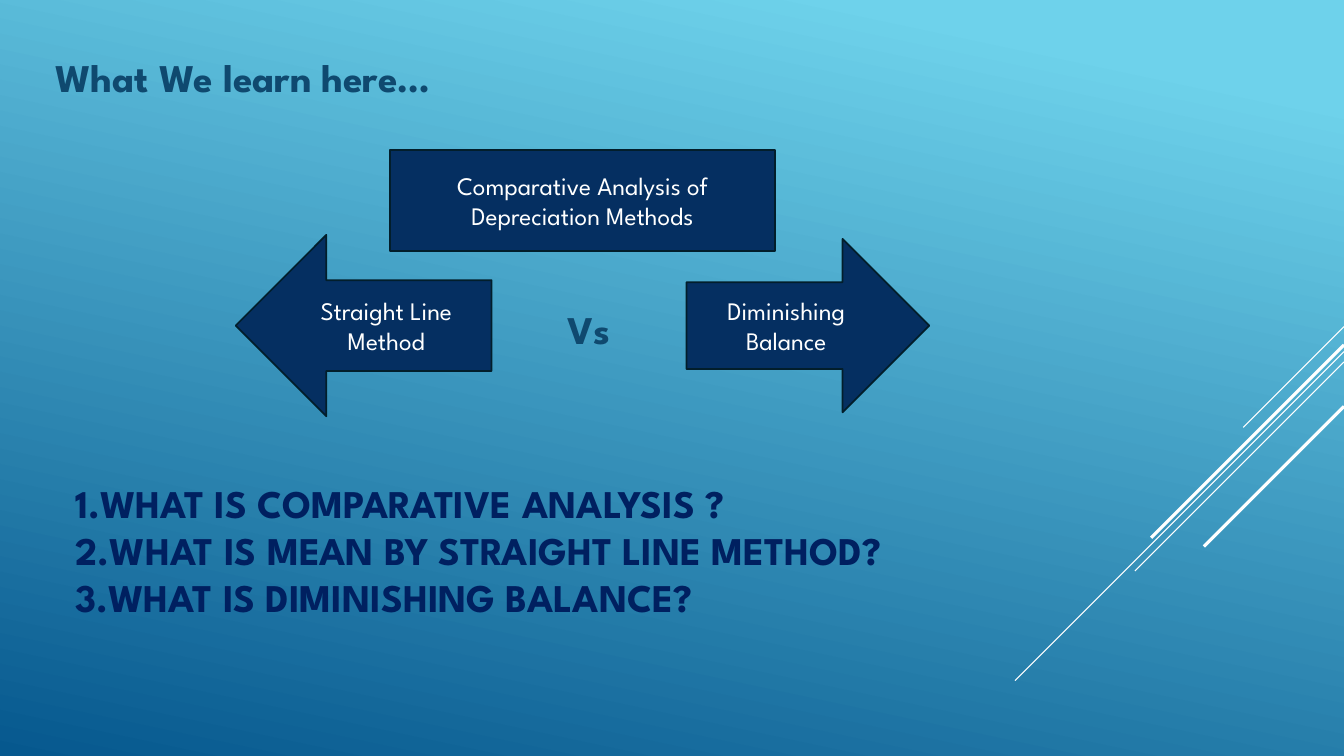
from dataclasses import dataclass

from lxml.etree import SubElement
from pptx import Presentation
from pptx.dml.color import RGBColor
from pptx.enum.shapes import MSO_CONNECTOR, MSO_SHAPE
from pptx.enum.text import MSO_ANCHOR, PP_ALIGN
from pptx.oxml.ns import qn
from pptx.slide import Slide
from pptx.text.text import TextFrame
from pptx.util import Cm, Pt

FONT = "League Spartan"
SLIDE_WIDTH = 33.87
SLIDE_HEIGHT = 19.05

WHITE = RGBColor(0xFF, 0xFF, 0xFF)
SKY = RGBColor(0x6E, 0xD2, 0xEB)
OCEAN = RGBColor(0x06, 0x58, 0x8E)
NAVY = RGBColor(0x05, 0x2F, 0x61)
OUTLINE = RGBColor(0x02, 0x1E, 0x2B)
TEAL = RGBColor(0x0F, 0x49, 0x6F)
INDIGO = RGBColor(0x00, 0x20, 0x60)


@dataclass(frozen=True)
class Box:
    left: float
    top: float
    width: float
    height: float

    def lengths(self) -> tuple[Cm, Cm, Cm, Cm]:
        return Cm(self.left), Cm(self.top), Cm(self.width), Cm(self.height)


@dataclass(frozen=True)
class Ray:
    """A 45-degree line running down and left from the right slide edge."""
    top: float
    run: float
    weight: float


@dataclass(frozen=True)
class Label:
    text: str
    box: Box
    color: RGBColor
    alignment: PP_ALIGN = PP_ALIGN.LEFT


@dataclass(frozen=True)
class Block:
    text: str
    box: Box
    kind: MSO_SHAPE


RAYS = [
    Ray(8.23, 2.54, 0.75),
    Ray(8.86, 8.29, 0.75),
    Ray(9.12, 5.27, 0.75),
    Ray(8.69, 4.86, 2.25),
    Ray(10.24, 3.53, 2.25),
]

QUESTIONS = "\n".join([
    "1.WHAT IS COMPARATIVE ANALYSIS ?",
    "2.WHAT IS MEAN BY STRAIGHT LINE METHOD?",
    "3.WHAT IS DIMINISHING BALANCE?",
])

LABELS = [
    Label(QUESTIONS, Box(1.65, 11.76, 23.7, 4.19), INDIGO),
    Label("What We learn here…", Box(1.14, 1.23, 26.11, 1.4), TEAL),
    Label("Vs", Box(13.34, 7.59, 3, 1.4), TEAL, PP_ALIGN.CENTER),
]

BLOCKS = [
    Block("Comparative Analysis of Depreciation Methods",
          Box(9.83, 3.78, 9.7, 2.54), MSO_SHAPE.RECTANGLE),
    Block("Straight Line Method",
          Box(5.94, 5.92, 6.45, 4.57), MSO_SHAPE.LEFT_ARROW),
    Block("Diminishing Balance",
          Box(17.3, 6.02, 6.12, 4.37), MSO_SHAPE.RIGHT_ARROW),
]


def paint_background(slide: Slide) -> None:
    fill = slide.background.fill
    fill.gradient()
    fill.gradient_angle = 258
    for stop, position, color in zip(fill.gradient_stops, (0.1, 1), (SKY, OCEAN)):
        stop.position = position
        stop.color.rgb = color


def write_text(text_frame: TextFrame, text: str, size: float, color: RGBColor,
               alignment: PP_ALIGN, bold: bool = False) -> None:
    text_frame.text = text
    text_frame.word_wrap = True
    text_frame.vertical_anchor = MSO_ANCHOR.MIDDLE
    for paragraph in text_frame.paragraphs:
        paragraph.alignment = alignment
        for run in paragraph.runs:
            run.font.name = FONT
            run.font.size = Pt(size)
            run.font.bold = bold
            run.font.color.rgb = color


def add_ray(slide: Slide, ray: Ray) -> None:
    connector = slide.shapes.add_connector(
        MSO_CONNECTOR.STRAIGHT, Cm(SLIDE_WIDTH), Cm(ray.top),
        Cm(SLIDE_WIDTH - ray.run), Cm(ray.top + ray.run))
    connector.line.color.rgb = WHITE
    connector.line.width = Pt(ray.weight)
    SubElement(connector.element.spPr, qn("a:effectLst"))


def add_label(slide: Slide, label: Label) -> None:
    shape = slide.shapes.add_textbox(*label.box.lengths())
    write_text(shape.text_frame, label.text, 28, label.color, label.alignment, bold=True)


def add_block(slide: Slide, block: Block) -> None:
    shape = slide.shapes.add_shape(block.kind, *block.box.lengths())
    shape.shadow.inherit = False
    shape.fill.solid()
    shape.fill.fore_color.rgb = NAVY
    shape.line.color.rgb = OUTLINE
    shape.line.width = Pt(1.25)
    write_text(shape.text_frame, block.text, 18, WHITE, PP_ALIGN.CENTER)


def main() -> None:
    presentation = Presentation()
    presentation.slide_width = Cm(SLIDE_WIDTH)
    presentation.slide_height = Cm(SLIDE_HEIGHT)
    slide = presentation.slides.add_slide(presentation.slide_layouts[6])
    paint_background(slide)
    for ray in RAYS:
        add_ray(slide, ray)
    for label in LABELS:
        add_label(slide, label)
    for block in BLOCKS:
        add_block(slide, block)
    presentation.save("out.pptx")


if __name__ == "__main__":
    main()
